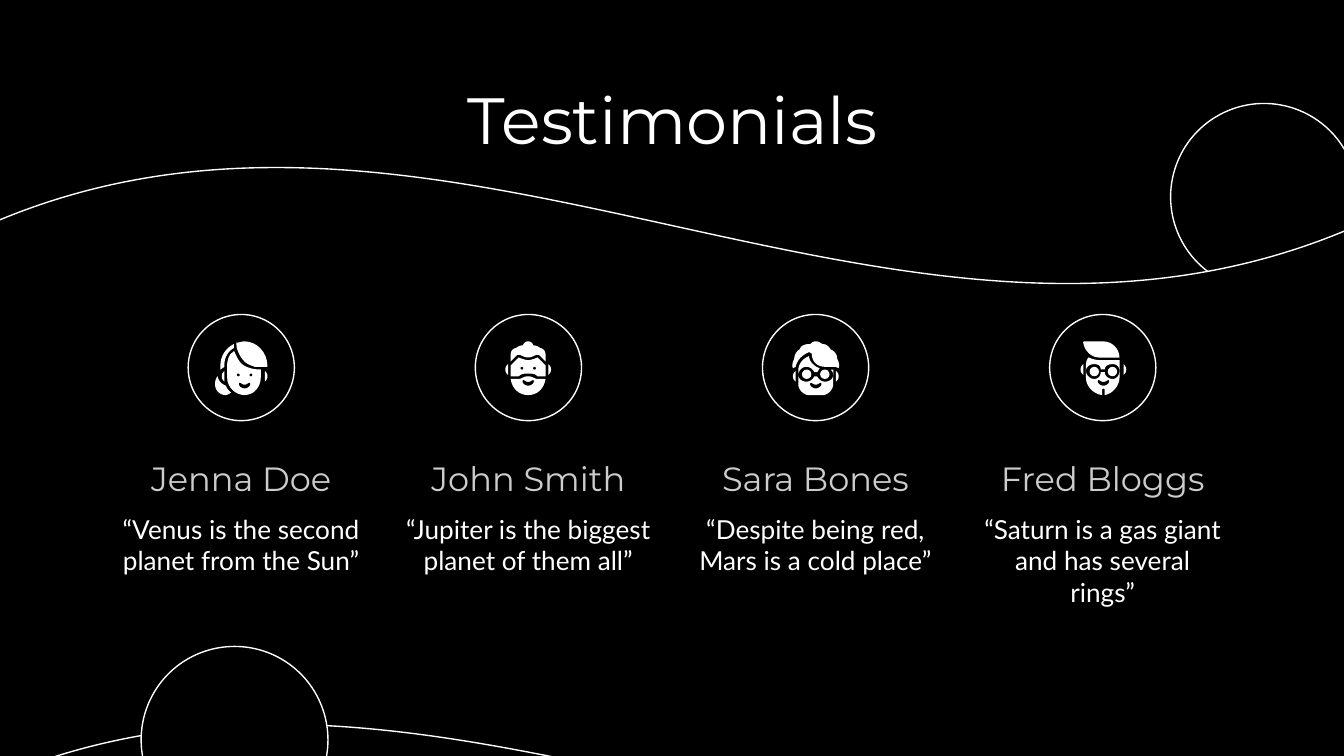
from pptx import Presentation
from pptx.dml.color import RGBColor
from pptx.enum import shapes, text
from pptx.util import Inches, Pt

BLACK = RGBColor(0, 0, 0)
WHITE = RGBColor(255, 255, 255)
GREY = RGBColor(0xCC, 0xCC, 0xCC)

# Outlines are in hundredths of an inch from the top centre of a head.
# Commas part the steps: two numbers are a corner, six are a Bézier curve.
EAR = "-15 0, -16 1 -17 2 -17 4, -17 6 -16 7 -15 8"
MOUTH = "-4 0, -5 2 -2 4 0 4, 2 4 5 2 4 0, 3 -0.5 2 1.3 0 1.3, -2 1.3 -3 -0.5 -4 0"
JENNA = [
    "-20 26, -21 27 -22 29 -22 32, -22 36 -19 40 -14 40, -13 40 -11 39 -10 38,"
    "-12 37 -13 35 -14 33, -16 32, -18 31 -20 28 -20 26",
    "-8 7, -8 8 -10 9 -10 9, -12 11 -13 15 -13 18, -13 27, -13 34 -7 40 0 40,"
    "7 40 12 34 12 27, 12 21, 7 21 2 20 -2 17, -5 14 -6 11 -8 7",
    "0 0, -2 0 -4 1 -6 1, -6 3 -6 5 -5 7, -4 10 -2 13 0 15, 2 17 5 18 8 19,"
    "17 19, 17 18, 17 8 9 0 0 0",
    "-8 2, -14 5 -18 11 -18 18, -18 21, -15 19, -15 17, -15 12 -12 7 -8 5",
]
JOHN = [
    "-7 12, -13 18, -13 26, -7 26, -5 24 -2 24 0 24, 3 24 5 24 7 26, 13 26,"
    "13 18, 7 12, 5 13 2 14 0 14, -2 14 -5 13 -7 12",
    "0 0, -2 0 -3 1 -4 3, -6 3 -8 4 -9 5, -11 5 -13 7 -13 10, -13 15, -8 10,"
    "-7 10 -7 10 -6 10, -4 11 -2 12 0 12, 2 12 4 11 6 10, 7 10 7 10 8 10,"
    "13 15, 13 10, 13 7 11 5 9 5, 8 4 6 3 4 3, 3 1 2 0 0 0",
    "0 26, -2 26 -4 27 -6 28, -13 28, -12 35 -7 40 0 40, 7 40 12 35 13 28,"
    "6 28, 4 27 2 26 0 26",
]
SARA = [
    "0 0, -2 0 -3 1 -4 2, -8 2 -11 3 -12 6, -14 7 -16 10 -16 13,"
    "-17 15 -18 18 -17 20, -15 19, -14 14 -10 10 -5 8, -3 9, -3 15 1 19 7 19,"
    "13 19, 14 19 15 19 17 20, 18 18 17 15 16 13, 16 10 14 7 11 6,"
    "10 4 8 2 5 2, 3 1 2 0 0 0",
    "-5 11, -10 13 -13 17 -13 22, -13 24, -12 21 -10 19 -7 19,"
    "-4 19 -2 21 -1 23, 1 23, 2 22 2 21 3 20, -1 19 -5 15 -5 11",
    "-13 25, -13 32, -13 36 -9 40 -5 40, 5 40, 9 40 13 36 13 32, 13 25,"
    "13 28 10 30 7 30, 4 30 2 28 1 26, -1 26, -2 28 -4 30 -7 30, -10 30 -13 28 -13 25",
    "11 21, 12 22 13 23 13 25, 13 21",
]
FRED = [
    "-14 0, -15 0 -15 1 -15 1, -14 7 -9 12 -3 12, 12 12, 12 5 6 0 0 0",
    "-13 22, -13 27, -13 33 -8 39 -1 40, -1 36, -1 35 1 35 1 36, 1 40,"
    "7 39 12 33 12 27, 12 22, 12 25 10 28 7 28, 4 28 1 26 1 23, -2 23,"
    "-2 26 -4 28 -7 28, -10 28 -13 25 -13 22",
    "-11 12, -12 13 -13 15 -13 18, -13 22, -13 19 -10 17 -7 17,"
    "-4 17 -2 18 -2 21, 1 21, 1 18 4 17 7 17, 10 17 12 19 12 22, 12 14,"
    "-3 14, -6 14 -9 13 -11 12",
]

# Name, quote, head centre, outlines, ear top, mouth top, eye height, eye size, eye colour
PEOPLE = [
    ("Jenna Doe", "“Venus is the second planet from the Sun”",
     1.82, JENNA, 22, 31, 25, 2, BLACK),
    ("John Smith", "“Jupiter is the biggest planet of them all”",
     3.93, JOHN, 17, 29, 20, 2, BLACK),
    ("Sara Bones", "“Despite being red, Mars is a cold place”",
     6.07, SARA, 22, 31, 24.5, 7, WHITE),
    ("Fred Bloggs", "“Saturn is a gas giant and has several rings”",
     8.21, FRED, 17, 29, 22.5, 7, WHITE),
]
HEAD_TOP = 2.54
PITCH = 6.41 / 3


def draw_outline(group, outline, centre, top, colour, flip=1):
    """Draw one closed outline, with its curves cut into short lines."""
    points = []
    for step in outline.split(","):
        values = [float(value) for value in step.split()]
        pairs = list(zip(values[::2], values[1::2]))
        if len(pairs) == 1:
            points += pairs
            continue
        bend = [points[-1]] + pairs
        for i in range(1, 9):
            t = i / 8
            weights = ((1 - t) ** 3, 3 * t * (1 - t) ** 2, 3 * t * t * (1 - t), t ** 3)
            points.append(tuple(sum(w * p[axis] for w, p in zip(weights, bend))
                                for axis in (0, 1)))
    spots = [(Inches(centre + flip * x / 100), Inches(top + y / 100)) for x, y in points]
    builder = group.build_freeform(*spots[0])
    builder.add_line_segments(spots[1:], close=True)
    part = builder.convert_to_shape()
    part.shadow.inherit = False
    part.fill.solid()
    part.fill.fore_color.rgb = colour
    part.line.fill.background()


def write(box, words, size, font, colour, anchor=text.MSO_ANCHOR.TOP):
    frame = box.text_frame
    frame.word_wrap = True
    frame.auto_size = text.MSO_AUTO_SIZE.NONE
    frame.vertical_anchor = anchor
    frame.margin_left = frame.margin_right = Inches(0.1)
    frame.margin_top = frame.margin_bottom = Inches(0.1)
    paragraph = frame.paragraphs[0]
    paragraph.alignment = text.PP_ALIGN.CENTER
    run = paragraph.add_run()
    run.text = words
    run.font.size = Pt(size)
    run.font.name = font
    run.font.color.rgb = colour


deck = Presentation()
deck.slide_width = Inches(10)
deck.slide_height = Inches(10) * 9 // 16
slide = deck.slides.add_slide(deck.slide_layouts[5])
slide.background.fill.solid()
slide.background.fill.fore_color.rgb = BLACK

# Backdrop and the rings around the heads
OVAL = shapes.MSO_SHAPE.OVAL
outlined = [
    (OVAL, 8.71, 0.77, 1.39, 1.39),
    (shapes.MSO_SHAPE.WAVE, -0.1, 1.23, 10.2, 5.04),
    (OVAL, 1.05, 4.81, 1.39, 1.39),
]
outlined += [(OVAL, 1.4 + i * PITCH, 2.34, 0.79, 0.79) for i in range(len(PEOPLE))]
for kind, *place in outlined:
    figure = slide.shapes.add_shape(kind, *map(Inches, place))
    figure.shadow.inherit = False
    figure.fill.solid()
    figure.fill.fore_color.rgb = BLACK
    figure.line.color.rgb = WHITE
    figure.line.width = Pt(0.75)
    if kind == shapes.MSO_SHAPE.WAVE:
        figure.adjustments[0] = 0.089
        figure.adjustments[1] = 0

heading = slide.shapes.title
heading.left, heading.top = Inches(0.79), Inches(0.49)
heading.width, heading.height = Inches(8.43), Inches(0.63)
write(heading, "Testimonials", 35, "Montserrat", WHITE)

for i, person in enumerate(PEOPLE):
    name, quote, centre, outlines, ear, mouth, eye, eye_size, eye_colour = person
    left = Inches(0.78 + i * PITCH)
    name_box = slide.shapes.add_textbox(left, Inches(3.46), Inches(2.03), Inches(0.35))
    write(name_box, name, 18, "Montserrat", GREY, text.MSO_ANCHOR.BOTTOM)
    quote_box = slide.shapes.add_textbox(left, Inches(3.72), Inches(2.03), Inches(0.67))
    write(quote_box, quote, 14, "Lato", WHITE)

    head = slide.shapes.add_group_shape().shapes
    for outline in outlines:
        draw_outline(head, outline, centre, HEAD_TOP, WHITE)
    draw_outline(head, MOUTH, centre, HEAD_TOP + mouth / 100, BLACK)
    eye_gap = 4.7 if eye_colour == BLACK else 6.75
    for side in (1, -1):
        draw_outline(head, EAR, centre, HEAD_TOP + ear / 100, WHITE, side)
        eyeball = head.add_shape(
            OVAL, Inches(centre + (side * eye_gap - eye_size / 2) / 100),
            Inches(HEAD_TOP + (eye - eye_size / 2) / 100),
            Inches(eye_size / 100), Inches(eye_size / 100))
        eyeball.shadow.inherit = False
        eyeball.fill.solid()
        eyeball.fill.fore_color.rgb = eye_colour
        eyeball.line.fill.background()

deck.save("out.pptx")
